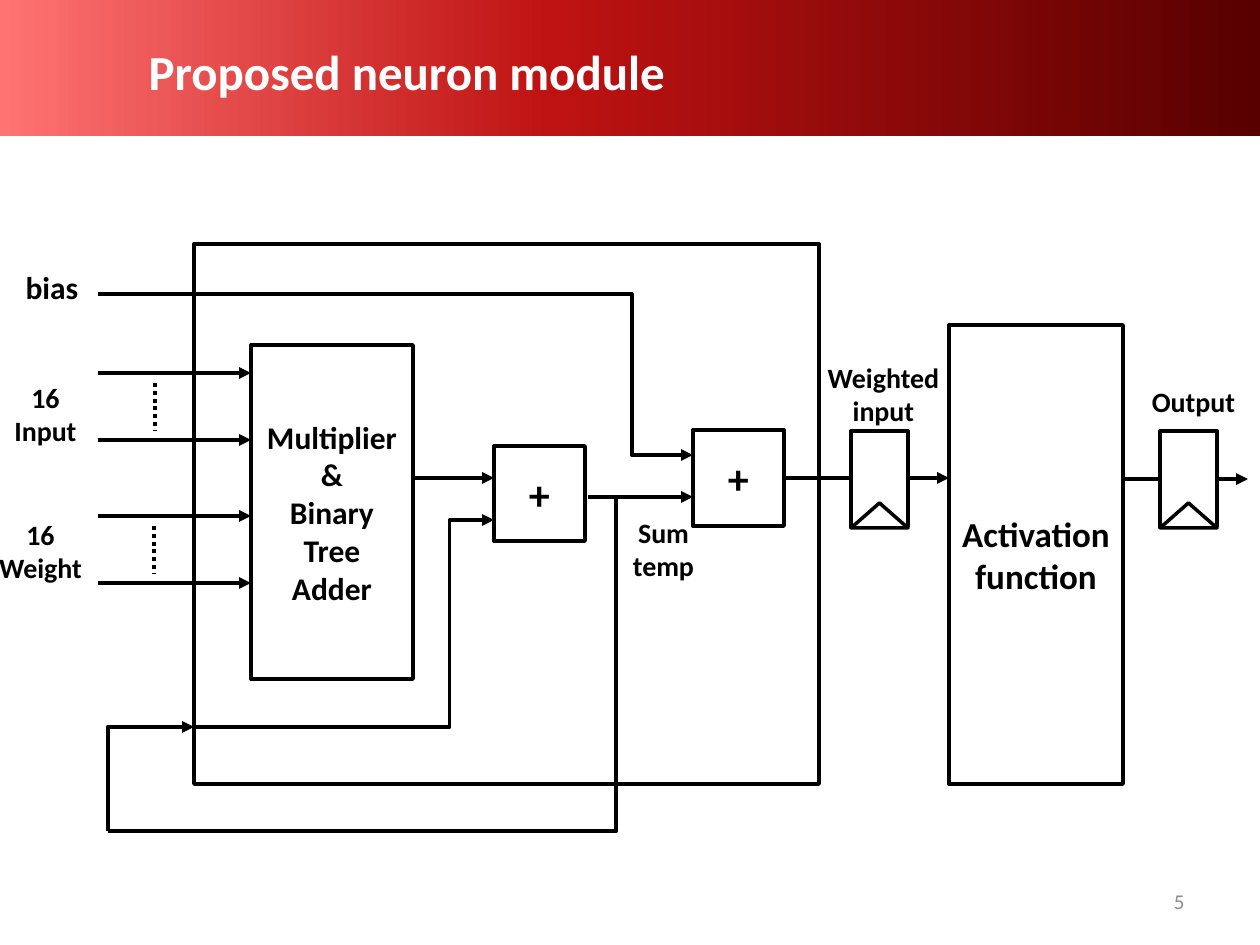
from copy import deepcopy
from lxml import etree
from pptx import Presentation
from pptx.dml.color import RGBColor
from pptx.enum.dml import MSO_LINE
from pptx.enum.shapes import MSO_CONNECTOR, MSO_SHAPE
from pptx.enum.text import MSO_ANCHOR, PP_ALIGN
from pptx.oxml.ns import qn
from pptx.util import Inches, Pt

RECT, TRIANGLE = MSO_SHAPE.RECTANGLE, MSO_SHAPE.ISOSCELES_TRIANGLE
STRAIGHT, ELBOW = MSO_CONNECTOR.STRAIGHT, MSO_CONNECTOR.ELBOW
LEFT, CENTER, RIGHT = PP_ALIGN.LEFT, PP_ALIGN.CENTER, PP_ALIGN.RIGHT
TOP, MIDDLE = MSO_ANCHOR.TOP, MSO_ANCHOR.MIDDLE
DOTTED = MSO_LINE.ROUND_DOT
BLACK = RGBColor(0x00, 0x00, 0x00)
WHITE = RGBColor(0xFF, 0xFF, 0xFF)
GRAY = RGBColor(0x8C, 0x8C, 0x8C)
PINK = RGBColor(0xFF, 0x73, 0x73)
RED = RGBColor(0xBE, 0x12, 0x12)
MAROON = RGBColor(0x58, 0x00, 0x00)
PX = Inches(1) / 126


def write(shape, text, size, color=BLACK, bold=True, align=CENTER, anchor=MIDDLE):
    frame = shape.text_frame
    frame.word_wrap = True
    frame.vertical_anchor = anchor
    frame.text = text
    for paragraph in frame.paragraphs:
        paragraph.alignment = align
        font = paragraph.runs[0].font
        font.name, font.size, font.bold = "Calibri", Pt(size), bold
        font.color.rgb = color


def emu(*pixels):
    return [round(pixel * PX) for pixel in pixels]


deck = Presentation()
deck.slide_width, deck.slide_height = emu(1260, 945)
slide = deck.slides.add_slide(deck.slide_layouts[5])
shapes = slide.shapes

title = shapes.title
title.left, title.top, title.width, title.height = emu(136, 22, 1061, 98)
write(title, "Proposed neuron module", 28, color=WHITE, align=LEFT)

header = shapes.add_shape(RECT, *emu(0, 0, 1260, 136))
header.shadow.inherit = False
header.line.fill.background()
header.fill.gradient()
header.fill.gradient_angle = 0
stop_list = header._element.spPr.find(qn("a:gradFill")).find(qn("a:gsLst"))
stop_list.insert(1, deepcopy(stop_list[0]))
for stop, position, color in zip(header.fill.gradient_stops, (0, 0.44, 1), (PINK, RED, MAROON)):
    stop.position = position
    stop.color.rgb = color
title._element.addprevious(header._element)

blocks = [
    (RECT, 194, 244, 625, 540, "", 18),
    (RECT, 251, 345, 162, 334, "Multiplier &\nBinary Tree Adder", 18),
    (RECT, 494, 446, 91, 95, "+", 24),
    (RECT, 693, 430, 91, 96, "+", 24),
    (RECT, 949, 325, 174, 459, "Activation function", 20),
]
for register_x in (851, 1160):
    blocks += [
        (RECT, register_x, 431, 57, 96, "", 16),
        (TRIANGLE, register_x, 503, 57, 25, "", 16),
    ]

wires = [
    (STRAIGHT, 588, 497, 693, 497, None, True),
    (STRAIGHT, 413, 478, 494, 478, None, True),
    (STRAIGHT, 784, 478, 949, 478, None, True),
    (STRAIGHT, 1123, 479, 1248, 479, None, True),
    (ELBOW, 98, 294, 693, 455, 0.897, True),
    (ELBOW, 194, 727, 494, 520, 0.852, True),
    (ELBOW, 620, 497, 108, 831, 0.007, False),
    (ELBOW, 108, 831, 194, 727, 0, True),
]
wires += [(STRAIGHT, 98, y, 251, y, None, True) for y in (373, 440, 516, 583)]
wires += [(STRAIGHT, x, y, x, y + 48, None, False) for x, y in ((155, 383), (154, 526))]

for kind, x, y, width, height, text, size in blocks[:5]:
    block = shapes.add_shape(kind, *emu(x, y, width, height))
    block.shadow.inherit = False
    block.fill.solid()
    block.fill.fore_color.rgb = WHITE
    block.line.color.rgb = BLACK
    block.line.width = Pt(2.25)
    if text:
        write(block, text, size)

for kind, x1, y1, x2, y2, bend, arrow in wires:
    wire = shapes.add_connector(kind, *emu(x1, y1, x2, y2))
    wire.line.color.rgb = BLACK
    wire.line.width = Pt(2.25)
    properties = wire._element.spPr
    etree.SubElement(properties, qn("a:effectLst"))
    if bend is not None:
        guides = properties.find(qn("a:prstGeom")).find(qn("a:avLst"))
        etree.SubElement(guides, qn("a:gd"), name="adj1", fmla=f"val {round(bend * 100000)}")
    if arrow:
        etree.SubElement(properties.find(qn("a:ln")), qn("a:tailEnd"), type="triangle")
    elif kind == STRAIGHT:
        wire.line.dash_style = DOTTED

for kind, x, y, width, height, text, size in blocks[5:]:
    register = shapes.add_shape(kind, *emu(x, y, width, height))
    register.shadow.inherit = False
    register.fill.solid()
    register.fill.fore_color.rgb = WHITE
    register.line.color.rgb = BLACK
    register.line.width = Pt(2 if kind == TRIANGLE else 2.25)

for x, y, width, height, text, size in (
    (10, 262, 84, 50, "bias", 18),
    (-16, 374, 123, 81, "16\nInput", 16),
    (-21, 511, 123, 81, "16 Weight", 16),
    (611, 509, 105, 81, "Sum\ntemp", 16),
    (803, 354, 161, 73, "Weighted input", 16),
    (1113, 378, 161, 47, "Output", 16),
):
    label = shapes.add_textbox(*emu(x, y, width, height))
    write(label, text, size, anchor=TOP)

page_number = shapes.add_textbox(*emu(903, 876, 294, 50))
write(page_number, "5", 12, color=GRAY, bold=False, align=RIGHT)

deck.save("out.pptx")
